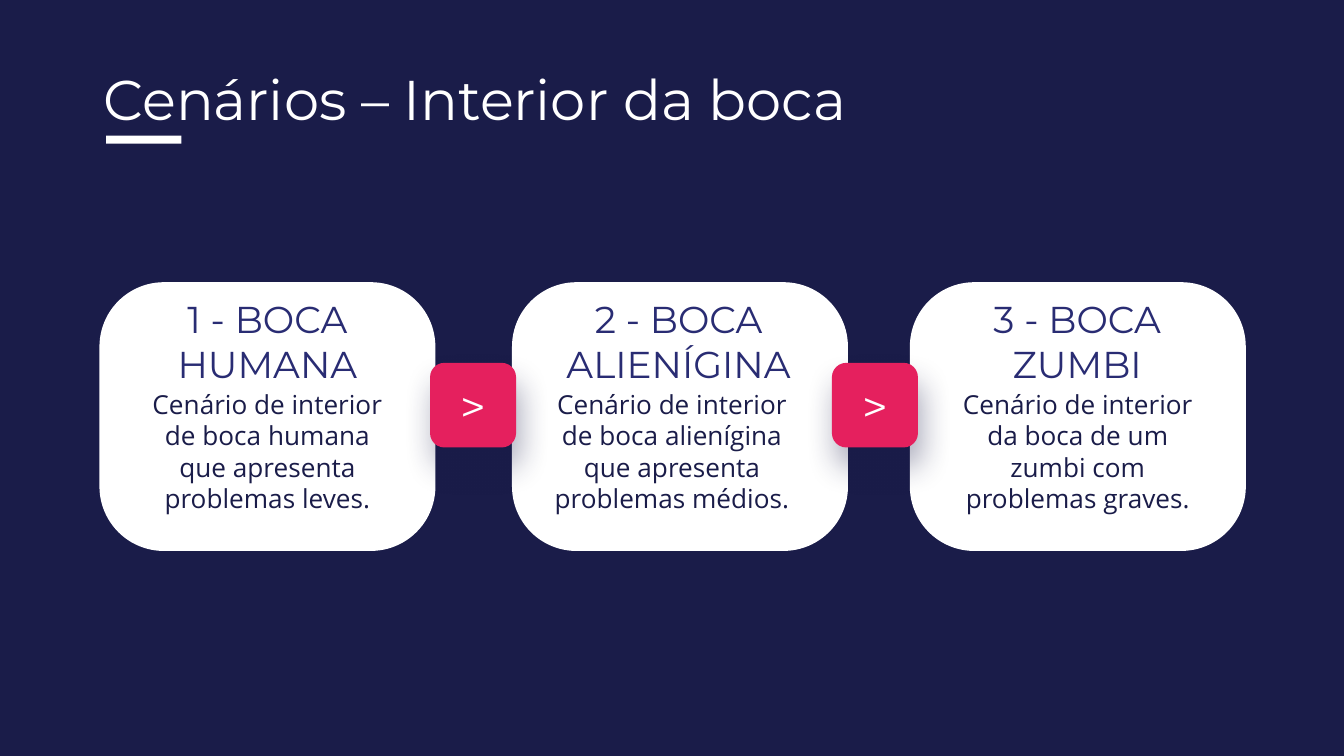
from lxml import etree
from pptx import Presentation
from pptx.dml.color import RGBColor as Rgb
from pptx.enum.shapes import MSO_SHAPE as Kind
from pptx.enum.text import MSO_ANCHOR as Anchor, PP_ALIGN as Align
from pptx.oxml.ns import qn
from pptx.util import Inches, Pt

HUE = {"navy": "1A1C49", "blue": "292C73", "pink": "E5205E", "white": "FFFFFF"}
FONT = {
    "title": {"name": "Montserrat", "size": Pt(30)},
    "head": {"name": "Montserrat", "size": Pt(20)},
    "body": {"name": "Open Sans", "size": Pt(14)},
    "sign": {"name": "Montserrat", "size": Pt(24)},
}
PAD = {"margin_" + side: Inches(0.1) for side in ("left", "top", "right", "bottom")}

deck = Presentation()
deck.slide_width = Inches(10)
deck.slide_height = deck.slide_width * 9 // 16
slide = deck.slides.add_slide(deck.slide_layouts[6])
slide.background.fill.solid()
slide.background.fill.fore_color.rgb = Rgb.from_string(HUE["navy"])
COL = deck.slide_width / 100
ROW = deck.slide_height / 56.25


def block(kind, x, y, w, h, hue, curve=None, shade=None):
    shape = slide.shapes.add_shape(
        kind, int(x * COL), int(y * ROW), int(w * COL), int(h * ROW))
    shape.shadow.inherit = False
    shape.fill.solid()
    shape.fill.fore_color.rgb = Rgb.from_string(HUE[hue])
    shape.line.fill.background()
    if curve:
        shape.adjustments[0] = curve
    if shade:
        alpha, blur, dist, angle = shade
        glow = etree.SubElement(
            shape.element.spPr.find(qn("a:effectLst")), qn("a:outerShdw"),
            blurRad=str(Pt(blur)), dist=str(Pt(dist)), dir=str(angle * 60000),
            algn="bl", rotWithShape="0")
        tint = etree.SubElement(glow, qn("a:srgbClr"), val=HUE["navy"])
        etree.SubElement(tint, qn("a:alpha"), val=str(alpha * 1000))


def write(text, x, y, w, h, font, hue, anchor=Anchor.TOP, align=Align.CENTER):
    box = slide.shapes.add_textbox(
        int(x * COL), int(y * ROW), int(w * COL), int(h * ROW)).text_frame
    line = box.paragraphs[0]
    line.text = text
    frame = {"word_wrap": True, "vertical_anchor": anchor, **PAD}
    for part, form in ((box, frame), (line, {"alignment": align}),
                       (line.runs[0].font, FONT[font])):
        for key, value in form.items():
            setattr(part, key, value)
    line.runs[0].font.color.rgb = Rgb.from_string(HUE[hue])


cards = [
    (7.4, 29, (8.9, 22.8, 22, 6.9), 9.3, "1 - BOCA HUMANA",
     "Cenário de interior de boca humana que apresenta problemas leves."),
    (38.1, 36, (40.3, 23.4, 20.4, 6.3), 39.4, "2 - BOCA ALIENÍGINA",
     "Cenário de interior de boca alienígina que apresenta problemas médios."),
    (67.7, 29, (70.6, 23.4, 19.1, 6.3), 69.6, "3 - BOCA ZUMBI",
     "Cenário de interior da boca de um zumbi com problemas graves."),
]

for left, alpha, *rest in cards:
    block(Kind.ROUNDED_RECTANGLE, left, 21, 25, 20, "white", 0.24,
          (alpha, 29.2, 20.2, 90))

write("Cenários – Interior da boca", 6.7, 3.8, 76.9, 6.9, "title", "white",
      align=Align.LEFT)
block(Kind.RECTANGLE, 7.9, 10.1, 5.6, 0.6, "white")

for left in (32, 61.9):
    block(Kind.ROUNDED_RECTANGLE, left, 27, 6.4, 6.3, "pink", 0.17,
          (36, 16.9, 10.5, 79))
    write(">", left - 0.7, 28.6, 7.8, 3.2, "sign", "white", Anchor.MIDDLE)

for left, alpha, area, inner, head, body in cards:
    write(head, *area, "head", "blue", Anchor.BOTTOM)
    write(body, inner, 27.9, 21.2, 9.6, "body", "navy")

deck.save("out.pptx")
